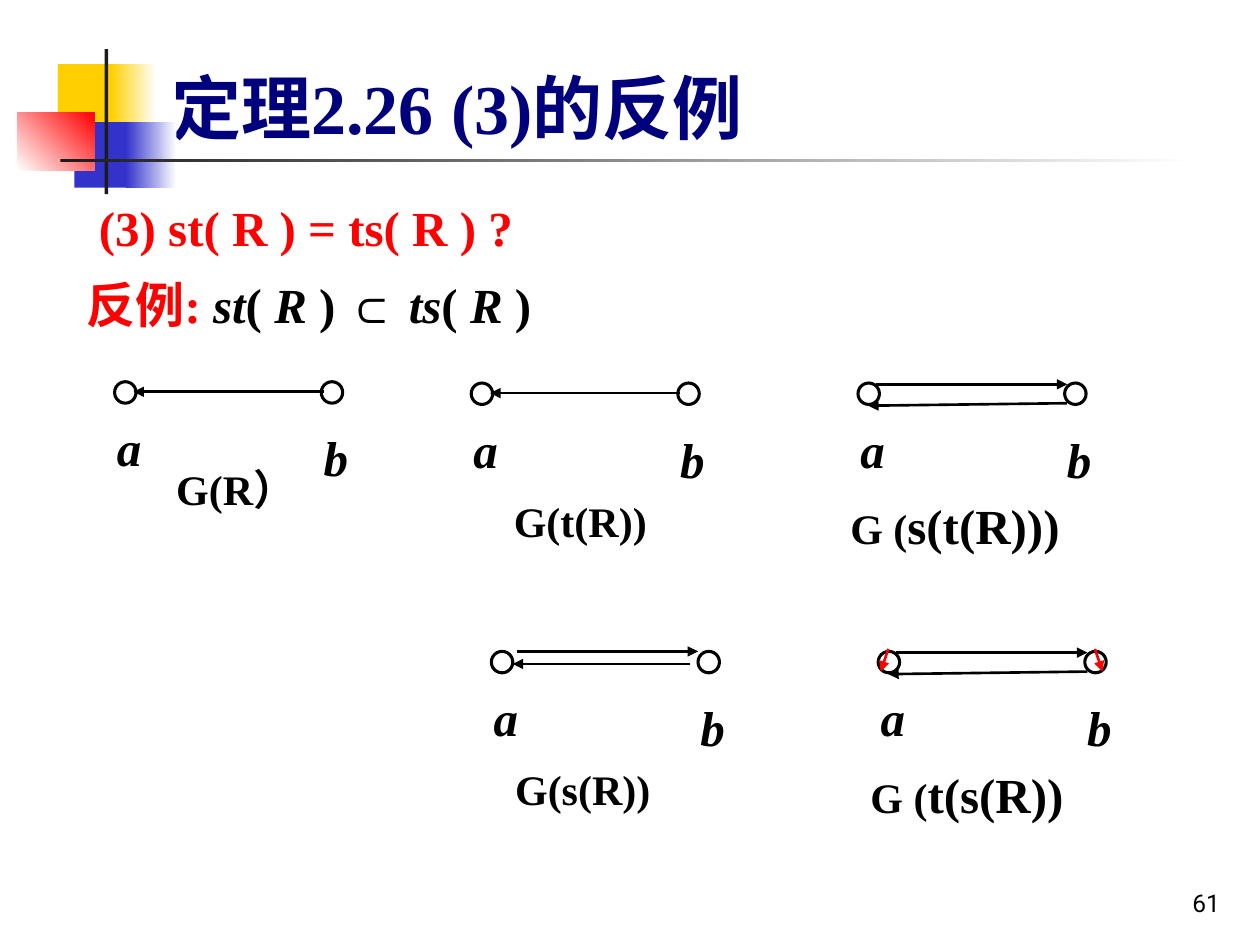
from dataclasses import dataclass

from lxml.etree import SubElement
from pptx import Presentation
from pptx.dml.color import RGBColor
from pptx.enum.shapes import MSO_CONNECTOR, MSO_SHAPE
from pptx.enum.text import MSO_ANCHOR, MSO_AUTO_SIZE, PP_ALIGN
from pptx.oxml.ns import qn
from pptx.util import Inches, Pt


@dataclass(frozen=True)
class Theme:
    ink: str = "000000"
    navy: str = "00007D"
    red: str = "FF0000"
    yellow: str = "FFCF01"
    blue: str = "3333CC"
    charcoal: str = "1C1C1C"
    white: str = "FFFFFF"
    serif: str = "Times New Roman"
    sans: str = "Roboto"
    title: int = 40
    body: int = 28
    caption: int = 24
    number: int = 14
    spacing: float = 1.1
    node_line: float = 1.75
    edge_line: float = 1.5


THEME = Theme()

# Graph grid: node a of column c, row r; the lower row is shifted a little.
COLUMN_LEFT, COLUMN_STEP = 3.74, 3.07
ROW_TOP, ROW_STEP, ROW_SHIFT = 3.04, 2.13, 0.16
NODE_SIZE, NODE_GAP = 0.17, 1.64

# Arrows as (from x, from y, to x, to y), measured from the corner of node a.
BACK = [(1.66, 0.08, 0.15, 0.08)]
PARALLEL = [(0.2, 0, 1.64, 0), (1.58, 0.1, 0.17, 0.1)]
BOTH_WAYS = [(0.14, 0.01, 1.66, 0.01), (1.66, 0.16, 0.08, 0.18)]
LOOPS = [(0.08, -0.02, 0.02, 0.16), (1.72, -0.02, 1.78, 0.16)]


def color(value):
    return RGBColor.from_string(value)


def add_run(paragraph, text, size, tint=THEME.ink, bold=True, italic=False, face=THEME.serif):
    run = paragraph.add_run()
    run.text = text
    font = run.font
    font.name, font.size, font.bold, font.italic = face, Pt(size), bold, italic
    font.color.rgb = color(tint)


def add_text_frame(shapes, left, top, width, height):
    """Add a wrapping text box and return its frame, first line spaced."""
    frame = shapes.add_textbox(*map(Inches, (left, top, width, height))).text_frame
    frame.word_wrap = True
    frame.paragraphs[0].line_spacing = THEME.spacing
    return frame


def add_block(shapes, box, start, end=None, angle=0):
    """Add a borderless rectangle, solid or fading from start to end."""
    block = shapes.add_shape(MSO_SHAPE.RECTANGLE, *map(Inches, box))
    block.shadow.inherit = False
    block.line.fill.background()
    if end is None:
        block.fill.solid()
        block.fill.fore_color.rgb = color(start)
        return
    block.fill.gradient()
    block.fill.gradient_angle = angle
    for stop, tint, position in zip(block.fill.gradient_stops, (start, end), (0, 1)):
        stop.color.rgb = color(tint)
        stop.position = position


def add_emblem(shapes):
    t = THEME
    add_block(shapes, (0.46, 0.51, 0.48, 0.52), t.yellow)
    add_block(shapes, (0.88, 0.51, 0.36, 0.52), t.yellow, t.white)
    add_block(shapes, (0.59, 0.97, 0.46, 0.52), t.blue)
    add_block(shapes, (1, 0.97, 0.4, 0.52), t.blue, t.white)
    add_block(shapes, (0.14, 0.89, 0.61, 0.46), t.white, t.red, angle=45)
    add_block(shapes, (0.83, 0.39, 0.03, 1.15), t.charcoal)
    add_block(shapes, (0.48, 1.26, 9, 0.03), t.charcoal, t.white)


def add_title(slide, text):
    title = slide.shapes.title
    title.left, title.top, title.width, title.height = map(Inches, (1.26, 0.39, 8.52, 0.84))
    frame = title.text_frame
    frame.auto_size = MSO_AUTO_SIZE.NONE
    frame.vertical_anchor = MSO_ANCHOR.BOTTOM
    frame.paragraphs[0].alignment = PP_ALIGN.LEFT
    add_run(frame.paragraphs[0], text, THEME.title, THEME.navy)


def add_claim(shapes):
    frame = add_text_frame(shapes, 0.59, 1.47, 9.13, 5.12)
    add_run(frame.paragraphs[0], " (3) st( R ) = ts( R ) ?", THEME.body, THEME.red)
    example = frame.add_paragraph()
    example.line_spacing = THEME.spacing
    example.space_before = Pt(7)
    add_run(example, "反例: ", THEME.body, THEME.red)
    for text, italic in (("st", True), ("( ", False), ("R", True), (" ) ⊂ ", False),
                         ("ts", True), ("( ", False), ("R", True), (" )", False)):
        add_run(example, text, THEME.body, italic=italic)


def add_node(shapes, left, top):
    node = shapes.add_shape(MSO_SHAPE.OVAL, *map(Inches, (left, top, NODE_SIZE, NODE_SIZE)))
    node.shadow.inherit = False
    node.fill.background()
    node.line.color.rgb = color(THEME.ink)
    node.line.width = Pt(THEME.node_line)


def add_arrow(shapes, ends, tint=THEME.ink, weight=THEME.edge_line):
    arrow = shapes.add_connector(MSO_CONNECTOR.STRAIGHT, *map(Inches, ends))
    arrow.line.color.rgb = color(tint)
    arrow.line.width = Pt(weight)
    SubElement(arrow.line._get_or_add_ln(), qn("a:tailEnd"), type="triangle")
    SubElement(arrow._element.spPr, qn("a:effectLst"))


def add_graph(slide, origin, caption, caption_offset, arrows, loops=(), weight=THEME.edge_line):
    """Add a grouped two-node graph; caption is a list of (text, size)."""
    x, y = origin
    shapes = slide.shapes.add_group_shape().shapes
    for name, node_x, label_drop in (("a", x, 0.19), ("b", x + NODE_GAP, 0.27)):
        add_node(shapes, node_x, y)
        label = add_text_frame(shapes, node_x - 0.08, y + label_drop, 0.47, 0.62)
        add_run(label.paragraphs[0], name, THEME.body, italic=True)
    dx, dy = caption_offset
    frame = add_text_frame(shapes, x + dx, y + dy, 2.44, 0.58)
    for text, size in caption:
        add_run(frame.paragraphs[0], text, size)
    for tint, group in ((THEME.ink, arrows), (THEME.red, loops)):
        for x1, y1, x2, y2 in group:
            add_arrow(shapes, (x + x1, y + y1, x + x2, y + y2), tint, weight)


def grid_origin(column, row):
    return (COLUMN_LEFT + column * COLUMN_STEP + row * ROW_SHIFT, ROW_TOP + row * ROW_STEP)


def add_page_number(shapes, number):
    frame = add_text_frame(shapes, 7.7, 6.83, 2.08, 0.5)
    frame.vertical_anchor = MSO_ANCHOR.BOTTOM
    paragraph = frame.paragraphs[0]
    paragraph.line_spacing = 1.0
    paragraph.alignment = PP_ALIGN.RIGHT
    add_run(paragraph, number, THEME.number, bold=False, face=THEME.sans)


def main():
    deck = Presentation()
    deck.slide_width, deck.slide_height = Inches(10), Inches(7.5)
    slide = deck.slides.add_slide(deck.slide_layouts[5])
    add_emblem(slide.shapes)
    add_title(slide, "定理2.26 (3)的反例")
    add_claim(slide.shapes)

    small, large = THEME.caption, THEME.body
    add_graph(slide, (0.91, 3.03), [("G(R）", small)], (0.39, 0.56), BACK,
              weight=THEME.node_line)
    add_graph(slide, grid_origin(0, 0), [("G(t(R))", small)], (0.24, 0.8), BACK)
    add_graph(slide, grid_origin(1, 0), [("G (", small), ("s(t(R)))", large)],
              (-0.16, 0.8), BOTH_WAYS)
    add_graph(slide, grid_origin(0, 1), [("G(s(R))", small)], (0.09, 0.8), PARALLEL)
    add_graph(slide, grid_origin(1, 1), [("G (", small), ("t(s(R))", large)],
              (-0.16, 0.8), BOTH_WAYS, LOOPS)

    add_page_number(slide.shapes, "61")
    deck.save("out.pptx")


if __name__ == "__main__":
    main()
